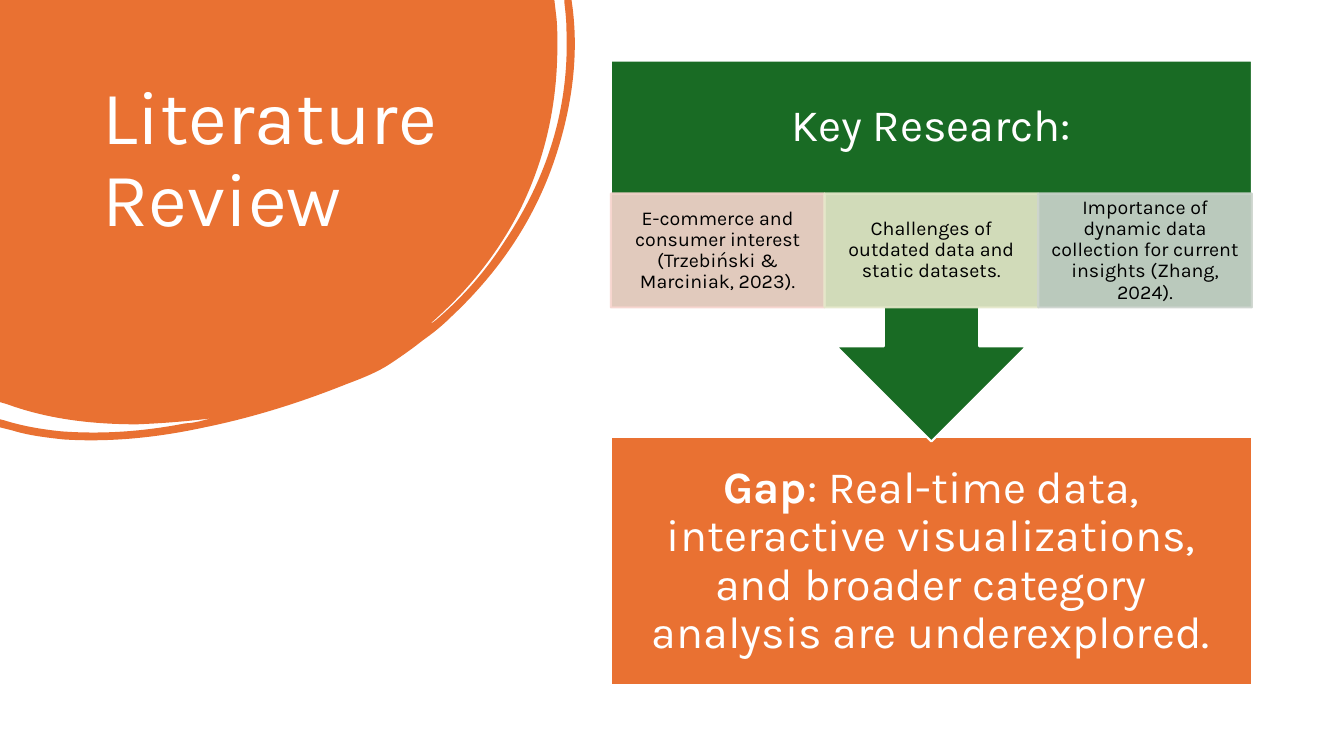
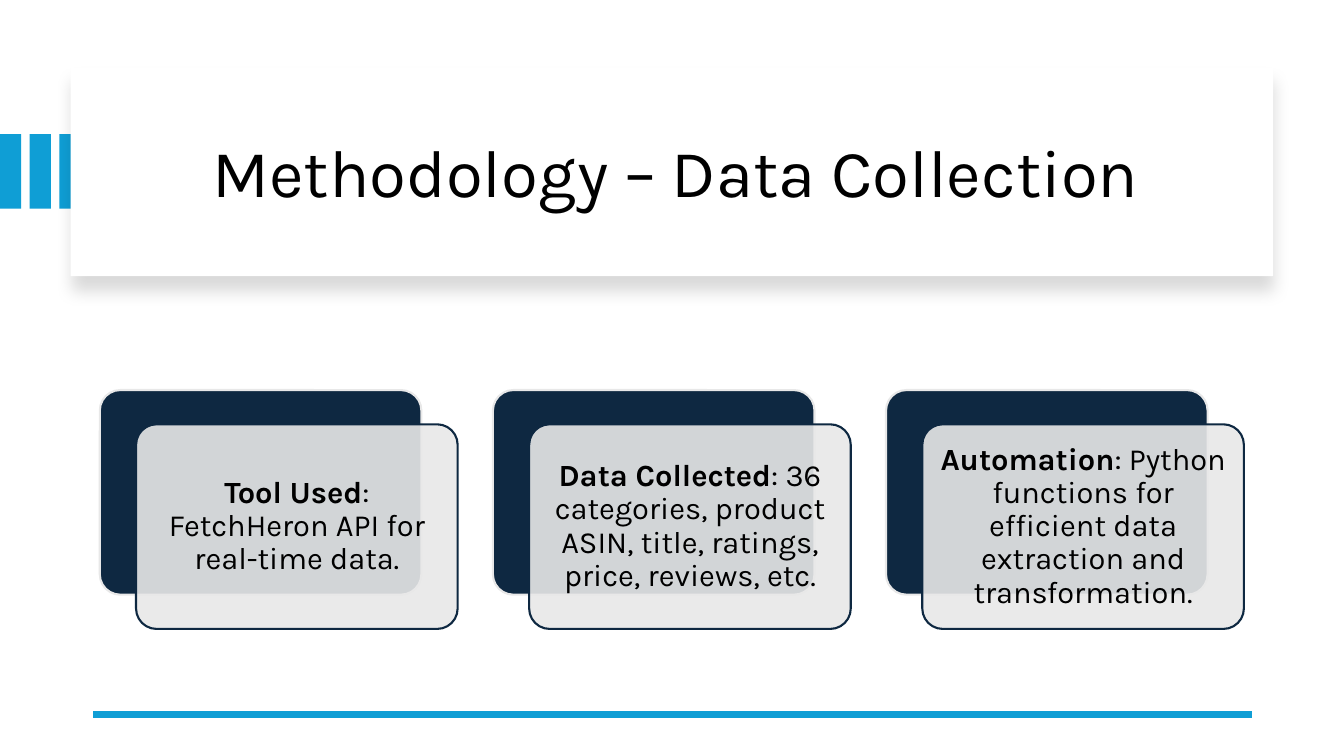
"""Build the literature review and data collection slides."""
from lxml.etree import SubElement
from pptx import Presentation
from pptx.dml.color import RGBColor
from pptx.enum.shapes import MSO_CONNECTOR, MSO_SHAPE
from pptx.enum.text import MSO_ANCHOR, PP_ALIGN
from pptx.oxml.ns import qn
from pptx.util import Inches, Pt

COLORS = {
    "orange": "E97132",
    "green": "196B24",
    "blue": "0F9ED5",
    "navy": "0E2841",
    "gray": "E8E8E8",
    "rose": "F7D5CE",
    "lime": "E5E8CA",
    "sage": "CCD4CD",
    "white": "FFFFFF",
    "black": "000000",
}
FONT = "Karla"


def style_shape(shape, fill, line=None, opacity=100):
    shape.shadow.inherit = False
    shape.fill.solid()
    shape.fill.fore_color.rgb = RGBColor.from_string(COLORS[fill])
    if line:
        shape.line.width = Pt(1.5)
        shape.line.color.rgb = RGBColor.from_string(COLORS[line])
    else:
        shape.line.fill.background()
    if opacity < 100:
        properties = shape.element.spPr
        parents = [properties]
        if line == fill:
            parents.append(properties.find(qn("a:ln")))
        for parent in parents:
            color = parent.find(qn("a:solidFill"))[0]
            SubElement(color, qn("a:alpha"), val=str(opacity * 1000))


def write_text(shape, text, lead="", size=32, color="white", align=PP_ALIGN.CENTER,
               anchor=MSO_ANCHOR.MIDDLE, insets=(0.1, 0.05)):
    frame = shape.text_frame
    frame.word_wrap = True
    frame.vertical_anchor = anchor
    frame.margin_left = frame.margin_right = Inches(insets[0])
    frame.margin_top = frame.margin_bottom = Inches(insets[1])
    paragraph = frame.paragraphs[0]
    paragraph.alignment = align
    paragraph.line_spacing = 0.9
    for content, bold in ((lead, True), (text, False)):
        if content:
            run = paragraph.add_run()
            run.text = content
            run.font.name = FONT
            run.font.size = Pt(size)
            run.font.bold = bold
            run.font.color.rgb = RGBColor.from_string(COLORS[color])


presentation = Presentation()
presentation.slide_width = Inches(40 / 3)
presentation.slide_height = Inches(7.5)
blank_layout = presentation.slide_layouts[6]

slide = presentation.slides.add_slide(blank_layout)
shapes = slide.shapes

blob_segments = [
    (5.5, 0), (5.52, 0.17),
    (5.53, 0.26, 5.53, 0.36, 5.53, 0.45),
    (5.53, 1.01, 5.42, 1.54, 5.18, 2.04),
    (4.96, 2.49, 4.65, 2.88, 4.27, 3.21),
    (4.29, 3.21, 4.3, 3.19, 4.32, 3.18),
    (4.59, 2.95, 4.82, 2.69, 5.01, 2.39),
    (5.43, 1.76, 5.65, 1.07, 5.62, 0.3),
    (5.62, 0.21, 5.61, 0.12, 5.6, 0.03),
    (5.6, 0), (5.67, 0), (5.68, 0.07),
    (5.74, 0.54, 5.68, 1.02, 5.53, 1.5),
    (5.33, 2.14, 4.97, 2.68, 4.48, 3.14),
    (4.39, 3.23, 4.29, 3.31, 4.19, 3.38),
    (4.09, 3.46, 3.99, 3.53, 3.87, 3.61),
    (3.75, 3.69, 3.6, 3.75, 3.44, 3.81),
    (2.99, 3.99, 2.52, 4.14, 2.03, 4.24),
    (1.57, 4.34, 1.1, 4.39, 0.63, 4.36),
    (0.45, 4.34, 0.28, 4.32, 0.12, 4.27),
    (0, 4.24), (0, 4.16), (0.04, 4.17),
    (0.23, 4.23, 0.42, 4.26, 0.61, 4.28),
    (1.03, 4.31, 1.43, 4.28, 1.84, 4.2),
    (1.89, 4.2, 1.93, 4.19, 1.98, 4.18),
    (2.02, 4.17, 2.06, 4.16, 2.1, 4.15),
    (1.86, 4.18, 1.61, 4.2, 1.36, 4.21),
    (0.92, 4.21, 0.48, 4.16, 0.07, 4.01),
    (0, 3.99),
]
builder = shapes.build_freeform(0, 0)
builder.add_line_segments([(Inches(segment[-2]), Inches(segment[-1]))
                           for segment in blob_segments], close=True)
blob = builder.convert_to_shape()
blob.width, blob.height = Inches(5.71), Inches(4.37)
outline = next(blob.element.iter(qn("a:path")))
outline.set("w", str(blob.width))
outline.set("h", str(blob.height))
for segment, edge in zip(blob_segments, outline.findall(qn("a:lnTo"))):
    if len(segment) == 6:
        curve = SubElement(outline, qn("a:cubicBezTo"))
        for x, y in zip(segment[::2], segment[1::2]):
            SubElement(curve, qn("a:pt"), x=str(Inches(x)), y=str(Inches(y)))
        outline.replace(edge, curve)
style_shape(blob, "orange")

title = shapes.add_textbox(Inches(0.92), Inches(0.74), Inches(3.52), Inches(2.22))
write_text(title, "Literature Review", size=54, align=PP_ALIGN.LEFT, anchor=MSO_ANCHOR.TOP)

left, width = 6.06, 6.36
gap_box = shapes.add_shape(MSO_SHAPE.RECTANGLE, Inches(left), Inches(4.34),
                           Inches(width), Inches(2.46))
style_shape(gap_box, "orange", "white")
write_text(gap_box, ": Real-time data, interactive visualizations, and broader category "
           "analysis are underexplored.", lead="Gap", insets=(0.25, 0.25))

callout = shapes.add_shape(MSO_SHAPE.UP_ARROW_CALLOUT, Inches(left), Inches(0.6),
                           Inches(width), Inches(3.78))
callout.rotation = 180
style_shape(callout, "green", "white")
heading = shapes.add_textbox(Inches(left), Inches(0.6), Inches(width), Inches(1.33))
write_text(heading, "Key Research:", insets=(0.25, 0.25))

findings = [
    ("rose", "E-commerce and consumer interest (Trzebiński & Marciniak, 2023)."),
    ("lime", "Challenges of outdated data and static datasets."),
    ("sage", "Importance of dynamic data collection for current insights (Zhang, 2024)."),
]
cell_width = width / len(findings)
for index, (color, finding) in enumerate(findings):
    cell = shapes.add_shape(MSO_SHAPE.RECTANGLE, Inches(left + index * cell_width),
                            Inches(1.92), Inches(cell_width), Inches(1.13))
    style_shape(cell, color, color, opacity=90)
    write_text(cell, finding, size=14, color="black", insets=(0.11, 0.02))

slide = presentation.slides.add_slide(blank_layout)
shapes = slide.shapes

for index in range(3):
    bar = shapes.add_shape(MSO_SHAPE.RECTANGLE, Inches(index * 0.59 / 2), Inches(1.33),
                           Inches(0.21), Inches(0.74))
    style_shape(bar, "blue")

panel = shapes.add_shape(MSO_SHAPE.RECTANGLE, Inches(0.7), Inches(0.67),
                         Inches(11.93), Inches(2.07))
style_shape(panel, "white")
effects = panel.element.spPr.find(qn("a:effectLst"))
shadow = SubElement(effects, qn("a:outerShdw"), blurRad=str(Pt(11)), dist=str(Pt(10)),
                    dir="5400000", algn="t", rotWithShape="0")
shadow_color = SubElement(shadow, qn("a:srgbClr"), val=COLORS["black"])
SubElement(shadow_color, qn("a:alpha"), val="15000")

title = shapes.add_textbox(Inches(1.14), Inches(0.89), Inches(11.13), Inches(1.7))
write_text(title, "Methodology – Data Collection", size=48, color="black")

rule = shapes.add_connector(MSO_CONNECTOR.STRAIGHT, Inches(12.42), Inches(7.09),
                            Inches(0.92), Inches(7.09))
rule.line.width = Pt(4.5)
rule.line.color.rgb = RGBColor.from_string(COLORS["blue"])
SubElement(rule.element.spPr, qn("a:effectLst"))

steps = [
    ("Tool Used", ": FetchHeron API for real-time data."),
    ("Data Collected", ": 36 categories, product ASIN, title, ratings, price, reviews, etc."),
    ("Automation", ": Python functions for efficient data extraction and transformation."),
]
for index, (lead, detail) in enumerate(steps):
    card_left = 0.99 + index * 3.9
    for x, y, fill, line, opacity in ((card_left, 3.87, "navy", "gray", 100),
                                      (card_left + 0.36, 4.21, "gray", "navy", 90)):
        card = shapes.add_shape(MSO_SHAPE.ROUNDED_RECTANGLE, Inches(x), Inches(y),
                                Inches(3.19), Inches(2.03))
        card.adjustments[0] = 0.1
        style_shape(card, fill, line, opacity)
    write_text(card, detail, lead=lead, size=22, color="black", insets=(0.09, 0.09))

presentation.save("out.pptx")
